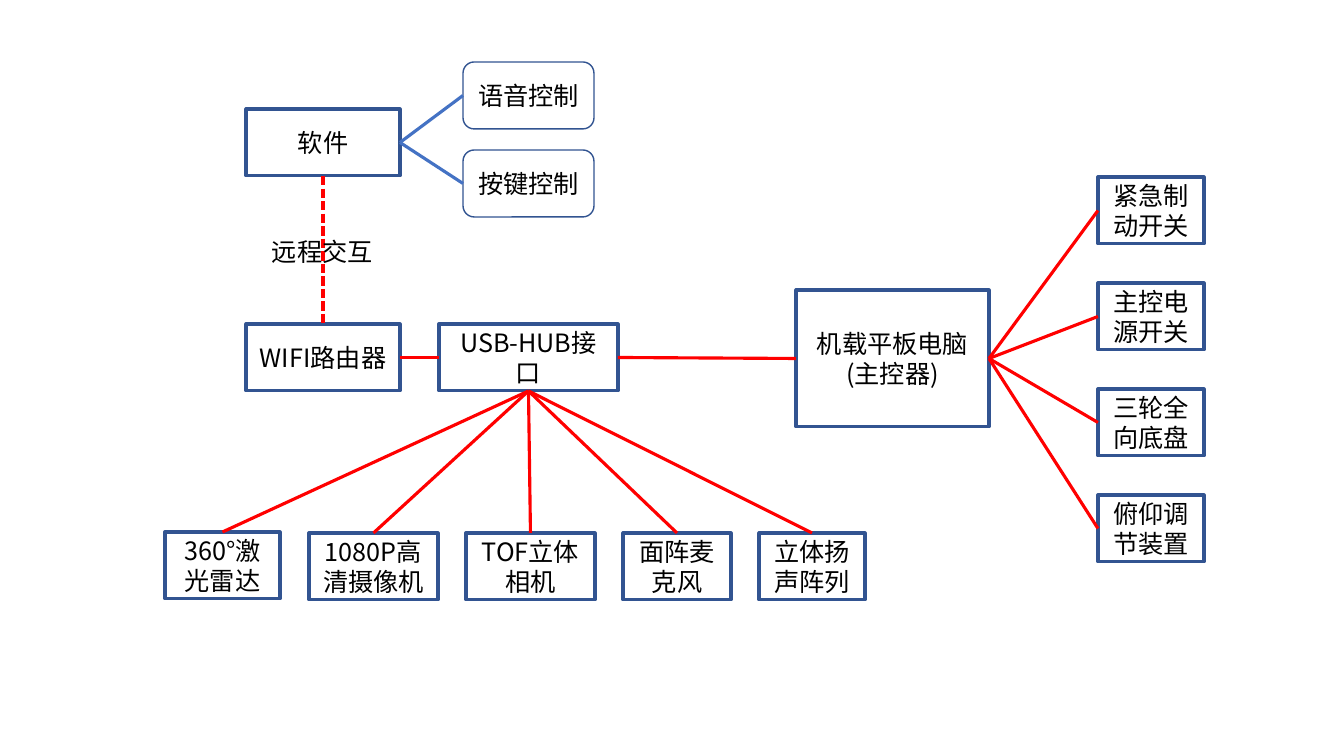
from lxml import etree
from pptx import Presentation
from pptx.dml.color import RGBColor
from pptx.enum.dml import MSO_LINE
from pptx.enum.shapes import MSO_CONNECTOR, MSO_SHAPE
from pptx.enum.text import MSO_ANCHOR, MSO_AUTO_SIZE, PP_ALIGN
from pptx.oxml.ns import qn
from pptx.util import Pt

RECT, ROUND = MSO_SHAPE.RECTANGLE, MSO_SHAPE.ROUNDED_RECTANGLE
STRAIGHT = MSO_CONNECTOR.STRAIGHT
DASH = MSO_LINE.SQUARE_DOT
MIDDLE, CENTER = MSO_ANCHOR.MIDDLE, PP_ALIGN.CENTER
GROW = MSO_AUTO_SIZE.SHAPE_TO_FIT_TEXT

WHITE = RGBColor(0xFF, 0xFF, 0xFF)
BLACK = RGBColor(0, 0, 0)
NAVY = RGBColor(0x32, 0x54, 0x91)
BLUE = RGBColor(0x44, 0x72, 0xC4)
RED = RGBColor(0xFF, 0, 0)
FONT = "Noto Sans CJK SC"
TALL = 67  # height of an ordinary box

# Connection sites of a box
TOP, LEFT, BOTTOM, RIGHT = range(4)


def px(n):
    return round(n * 914400 / 100.8)


def style(frame, text):
    frame.text = text
    run = frame.paragraphs[0].runs[0]
    run.font.size = Pt(18)
    run.font.name = FONT
    run.font.color.rgb = BLACK
    east = etree.SubElement(run._r.get_or_add_rPr(), qn("a:ea"))
    east.set("typeface", FONT)


def node(slide, text, x, y, wide, tall=TALL, kind=RECT, line=2.25):
    shape = slide.shapes.add_shape(kind, px(x), px(y), px(wide), px(tall))
    shape.shadow.inherit = False
    shape.fill.solid()
    shape.fill.fore_color.rgb = WHITE
    shape.line.color.rgb = NAVY
    shape.line.width = Pt(line)
    frame = shape.text_frame
    frame.word_wrap = True
    frame.vertical_anchor = MIDDLE
    style(frame, text)
    frame.paragraphs[0].alignment = CENTER
    return shape


def link(slide, start, exit, end, entry, color=RED):
    wire = slide.shapes.add_connector(STRAIGHT, 0, 0, 0, 0)
    wire.begin_connect(start, exit)
    wire.end_connect(end, entry)
    wire.line.color.rgb = color
    wire.line.width = Pt(2.25)
    etree.SubElement(wire._element.spPr, qn("a:effectLst"))
    return wire


def remote(slide, x, y):
    """Software with its controls, tied to the router; returns the router."""
    app = node(slide, "软件", x, y + 47, 154)
    router = node(slide, "WIFI路由器", x, y + 262, 154)
    link(slide, app, BOTTOM, router, TOP).line.dash_style = DASH

    # Control modes
    for i, text in enumerate(["语音控制", "按键控制"]):
        mode = node(slide, text, x + 217, y + 88 * i, 131, kind=ROUND, line=1)
        link(slide, app, RIGHT, mode, LEFT, BLUE)

    # Label on the dashed line
    label = slide.shapes.add_textbox(px(x + 16), px(y + 169), px(122), px(40))
    label.text_frame.word_wrap = False
    label.text_frame.auto_size = GROW
    style(label.text_frame, "远程交互")
    return router


def sensors(slide, x, y):
    """Hub with its fan of devices; returns the hub."""
    hub = node(slide, "USB-HUB接口", x + 274, y, 179)
    devices = [
        ("360°激光雷达", 0, 208, 115),
        ("1080P高清摄像机", 144, 209, 129),
        ("TOF立体相机", 301, 209, 129),
        ("面阵麦克风", 458, 209, 108),
        ("立体扬声阵列", 594, 209, 106),
    ]
    for text, left, top, wide in devices:
        device = node(slide, text, x + left, y + top, wide)
        link(slide, hub, BOTTOM, device, TOP)
    return hub


def control(slide, x, y):
    """Main controller with its column of parts; returns the controller."""
    main = node(slide, "机载平板电脑(主控器)", x, y + 113, 193, 137)
    parts = ["紧急制动开关", "主控电源开关", "三轮全向底盘", "俯仰调节装置"]
    for i, text in enumerate(parts):
        part = node(slide, text, x + 302, y + 106 * i, 106)
        link(slide, part, LEFT, main, RIGHT)
    return main


deck = Presentation()
deck.slide_width, deck.slide_height = px(1344), px(756)
slide = deck.slides.add_slide(deck.slide_layouts[6])

router = remote(slide, 246, 62)
hub = sensors(slide, 165, 324)
main = control(slide, 796, 177)

# Main line from router to controller
link(slide, router, RIGHT, hub, LEFT)
link(slide, hub, RIGHT, main, LEFT)

deck.save("out.pptx")
